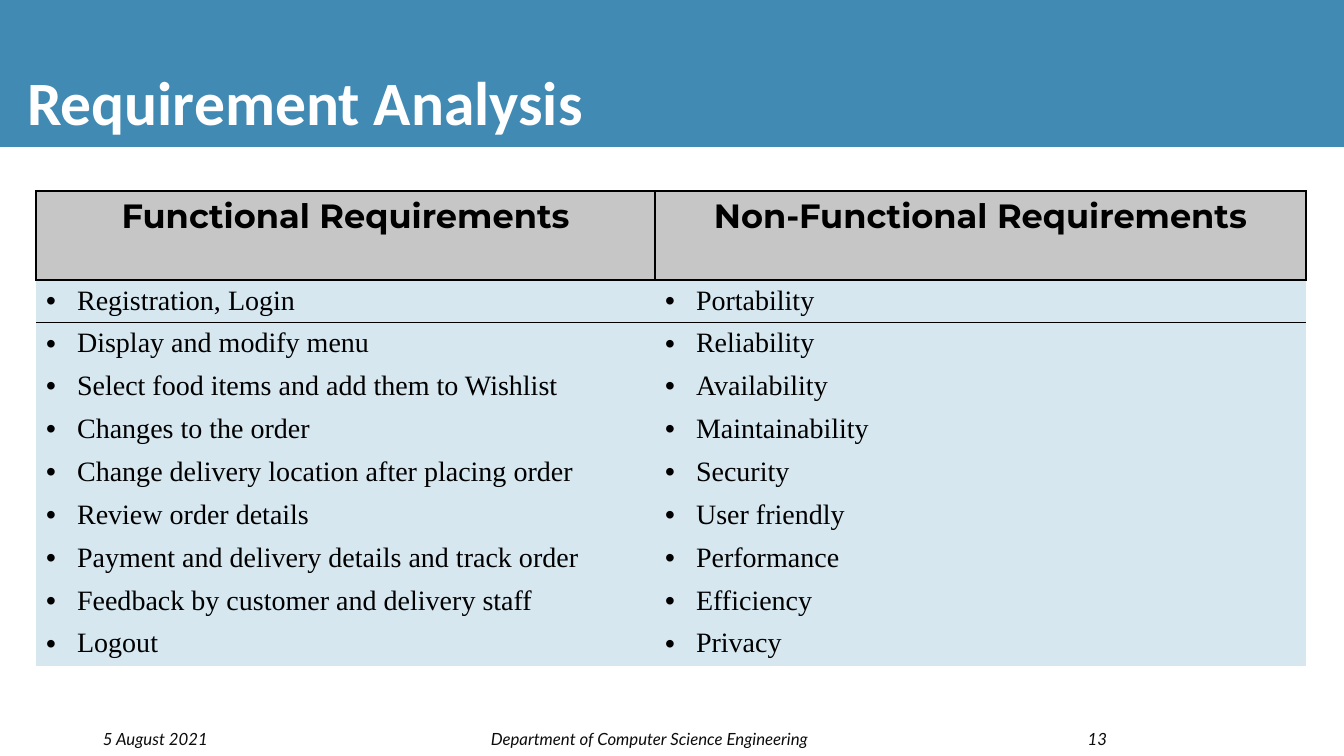
from lxml import etree
from pptx import Presentation
from pptx import util as u
from pptx.dml.color import RGBColor
from pptx.enum import shapes, text
from pptx.oxml import ns

PX = 914400 / 100.8
WIDE, HIGH = 1344, 756
BLUE = RGBColor(0x41, 0x8A, 0xB3)
PALE = RGBColor(0xD6, 0xE7, 0xF0)
GREY = RGBColor(0xC6, 0xC6, 0xC6)
WHITE = RGBColor(0xFF, 0xFF, 0xFF)
BLACK = RGBColor(0, 0, 0)
INK = RGBColor(0x0C, 0x0C, 0x0C)
PLAIN = "{2D5ABB26-0587-4C30-8999-92F81FD0307C}"
ALIGN = text.PP_ALIGN

HEADS = ("Functional Requirements", "Non-Functional Requirements")
NEEDS = (
    ("Registration, Login", "Portability"),
    ("Display and modify menu", "Reliability"),
    ("Select food items and add them to Wishlist", "Availability"),
    ("Changes to the order", "Maintainability"),
    ("Change delivery location after placing order", "Security"),
    ("Review order details", "User friendly"),
    ("Payment and delivery details and track order", "Performance"),
    ("Feedback by customer and delivery staff", "Efficiency"),
    ("Logout", "Privacy"),
)


def px(size):
    """Turn px into EMU."""
    return u.Emu(round(size * PX))


def write(frame, words, face, size, color, align=ALIGN.LEFT, bold=False, slant=False):
    """Fill a text frame with one styled paragraph and return it."""
    para = frame.paragraphs[0]
    para.text = words
    para.alignment = align
    font = para.font
    font.name, font.size, font.color.rgb = face, u.Pt(size), color
    font.bold, font.italic = bold, slant
    return para


def add_title(slide, box, words):
    """Draw the top band with the title at its foot."""
    left, top, width, height = box
    title = slide.shapes.title
    band = slide.shapes.add_shape(shapes.MSO_SHAPE.RECTANGLE, *map(px, box))
    band.shadow.inherit = False
    band.fill.solid()
    band.fill.fore_color.rgb = BLUE
    band.line.fill.background()
    title.element.addprevious(band.element)
    title.left, title.top = px(left + 17), px(top)
    title.width, title.height = px(width - 34), px(height - 4)
    frame = title.text_frame
    frame.auto_size = text.MSO_AUTO_SIZE.NONE
    frame.vertical_anchor = text.MSO_ANCHOR.BOTTOM
    write(frame, words, "Calibri", 44, WHITE, bold=True)


def edge(cell, sides):
    """Rule the named sides of a cell in black."""
    props = cell._tc.get_or_add_tcPr()
    for side in sides:
        line = etree.SubElement(props, ns.qn(f"a:ln{side}"), w=str(u.Pt(1)))
        fill = etree.SubElement(line, ns.qn("a:solidFill"))
        etree.SubElement(fill, ns.qn("a:srgbClr"), val=str(BLACK))


def paint(cell, color):
    """Give a cell a solid fill."""
    cell.fill.solid()
    cell.fill.fore_color.rgb = color


def bullet(para):
    """Give a paragraph a black bullet and a hanging indent."""
    props = para._p.get_or_add_pPr()
    props.set("marL", str(px(31)))
    props.set("indent", str(px(-31)))
    tint = etree.SubElement(props, ns.qn("a:buClr"))
    etree.SubElement(tint, ns.qn("a:srgbClr"), val=str(BLACK))
    etree.SubElement(props, ns.qn("a:buFont"), typeface="Arial")
    etree.SubElement(props, ns.qn("a:buChar"), char="•")
    props.append(props.find(ns.qn("a:defRPr")))


def add_needs(slide, box, cols, head):
    """Draw the table of requirements, with equal rows below its head."""
    rows = len(NEEDS) + 1
    table = slide.shapes.add_table(rows, len(cols), *map(px, box)).table
    table.first_row = table.horz_banding = False
    table._tbl.tblPr.find(ns.qn("a:tableStyleId")).text = PLAIN
    for col, width in zip(table.columns, cols):
        col.width = px(width)
    for row in table.rows:
        row.height = px((box[3] - head) / len(NEEDS))
    table.rows[0].height = px(head)
    for c, words in enumerate(HEADS):
        cell = table.cell(0, c)
        edge(cell, "LRTB")
        paint(cell, GREY)
        write(cell.text_frame, words, "Montserrat", 24, BLACK, ALIGN.CENTER, bold=True)
    for r, pair in enumerate(NEEDS, 1):
        for c, words in enumerate(pair):
            cell = table.cell(r, c)
            if r == 1:
                edge(cell, "T")
            paint(cell, PALE)
            bullet(write(cell.text_frame, words, "Times New Roman", 20, BLACK))


def add_foot(slide, box):
    """Set the date, department and page number in the bottom strip."""
    left, top, width, height = box
    parts = (
        (0, 353, "5 August 2021", ALIGN.LEFT),
        (380, 353, "Department of Computer Science Engineering", ALIGN.CENTER),
        (width - 151, 151, "13", ALIGN.RIGHT),
    )
    for x, wide, words, align in parts:
        note = slide.shapes.add_textbox(*map(px, (left + x, top, wide, height)))
        frame = note.text_frame
        frame.word_wrap = True
        frame.vertical_anchor = text.MSO_ANCHOR.MIDDLE
        write(frame, words, "Lato", 12, INK, align, slant=True)


def main():
    """Build the slide and save it."""
    deck = Presentation()
    deck.slide_width, deck.slide_height = px(WIDE), px(HIGH)
    slide = deck.slides.add_slide(deck.slide_layouts[5])
    add_title(slide, (0, 0, WIDE, 147), "Requirement Analysis")
    add_needs(slide, (36, 191, 1270, 475), (619, 651), 89)
    add_foot(slide, (93, 724, 1024, 30))
    deck.save("out.pptx")


if __name__ == "__main__":
    main()
